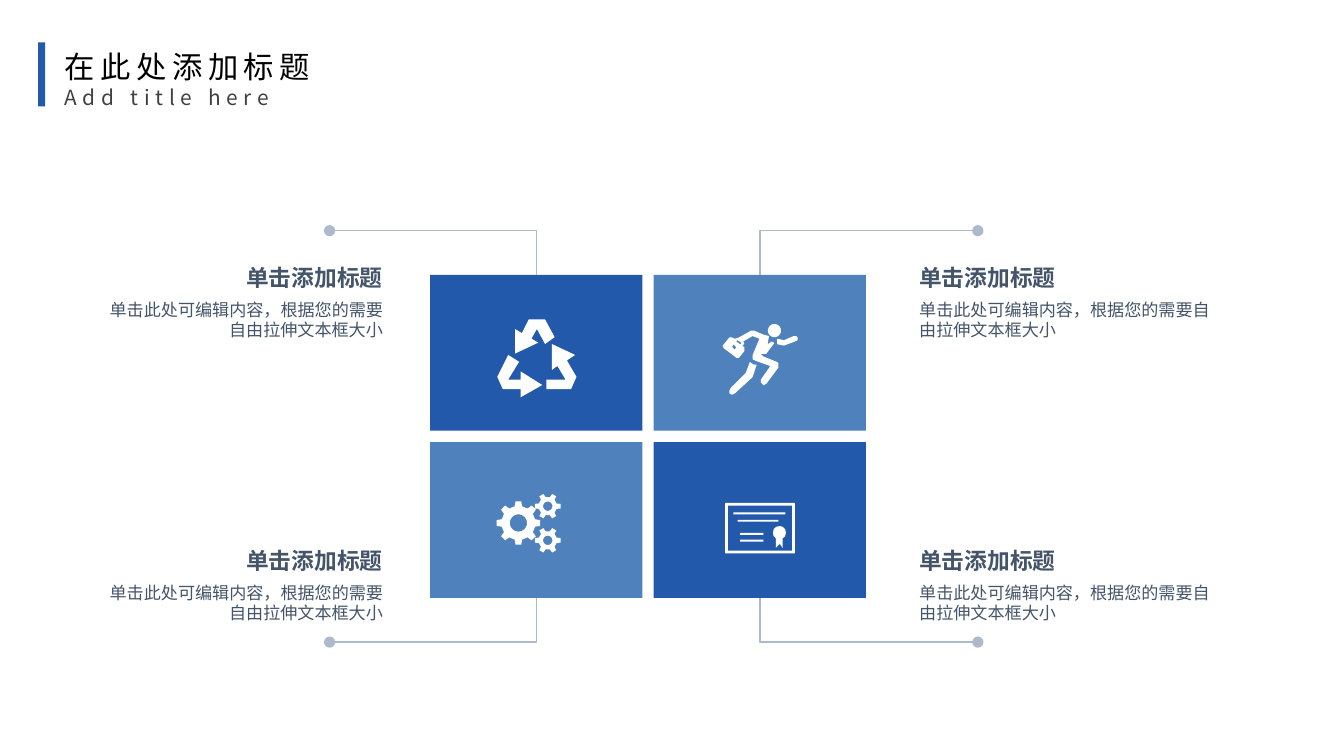
from math import cos, pi, sin

from lxml import etree
from pptx import Presentation, util as u
from pptx.dml.color import RGBColor
from pptx.enum import shapes, text
from pptx.oxml.ns import qn

COLORS = {"dark": "2259AA", "light": "4F81BD", "leader": "ADBACA", "body": "445469",
          "title": "000000", "subtitle": "404040", "icon": "FFFFFF"}
CJK = "Noto Sans CJK SC"
PAGE_TITLE = [("在此处添加标题", 16, "title"), ("Add title here", 11, "subtitle")]
HEADING = "单击添加标题"
DETAIL = "单击此处可编辑内容，根据您的需要自由拉伸文本框大小"
TILE_FILLS = [["dark", "light"], ["light", "dark"]]
TILE_LEFT, TILE_TOP, TILE_W, TILE_H = 8, 5.11, 3.95, 2.9
STEP_X, STEP_Y = 4.16, 3.11
LEADER_RISE = 0.82
HEADING_TOPS = [4.9, 10.16]
SIDES = [
    {"dot": 6.13, "left": 1.76, "width": 5.36, "align": text.PP_ALIGN.RIGHT},
    {"dot": 18.19, "left": 17.1, "width": 5.59, "align": text.PP_ALIGN.LEFT},
]


def circle(x, y, radius, count=32):
    return [(x + radius * cos(2 * pi * i / count), y + radius * sin(2 * pi * i / count))
            for i in range(count)]


def rectangle(left, top, right, bottom):
    return [(left, top), (right, top), (right, bottom), (left, bottom)]


def gear(x, y, teeth, outer, root, hole):
    rim = []
    for tooth in range(teeth):
        for offset, radius in ((-0.28, root), (-0.17, outer), (0.17, outer), (0.28, root)):
            angle = 2 * pi * (tooth + offset) / teeth
            rim.append((x + radius * cos(angle), y + radius * sin(angle)))
    return [rim, circle(x, y, hole)]


RECYCLING = [
    [(35, 0), (23, 0), (18, 10), (13, 7), (13, 25), (30, 17), (25, 14), (29, 7), (35, 18),
     (42, 13)],
    [(17, 44), (8, 44), (16, 31), (8, 26), (0, 42), (4, 51), (17, 51), (17, 57), (33, 48),
     (17, 38)],
    [(51, 30), (57, 26), (40, 18), (40, 37), (44, 34), (50, 44), (36, 44), (36, 51), (54, 51),
     (58, 42)],
]
RUNNER = [
    circle(38, 5, 4.8),
    [(55, 10), (54, 9), (52, 9), (45, 12), (40, 11), (40, 15), (45, 16), (53, 13), (55, 12)],
    [(40, 28), (30, 24), (28, 22), (30, 22), (32, 22), (38, 14), (36, 13), (33, 15), (34, 9),
     (30, 8), (23, 5), (21, 5), (12, 10), (9, 11), (7, 10), (5, 10), (1, 15), (0, 16),
     (1, 18), (9, 24), (10, 25), (12, 25), (16, 20), (16, 17), (14, 16), (15, 16), (16, 14),
     (15, 13), (22, 9), (27, 11), (22, 23), (22, 26), (24, 27), (35, 31), (28, 41),
     (28, 43), (29, 44), (30, 45), (32, 44), (41, 32), (41, 29)],
    [(14, 14), (13, 15), (10, 13), (11, 12)],
    [(9, 19), (7, 17), (8, 15), (10, 17)],
    [(20, 28), (17, 36), (6, 47), (5, 49), (5, 51), (7, 52), (9, 51), (21, 40), (22, 39),
     (25, 30), (23, 30)],
]
GEARS = [*gear(15.5, 21, 8, 16, 12.5, 6.3), *gear(37, 8.7, 6, 9.5, 6.8, 3.4),
         *gear(37, 33.7, 6, 9.5, 6.8, 3.4)]
CERTIFICATE = [
    rectangle(0, 0, 51, 37), rectangle(2, 2, 49, 35),
    rectangle(6, 7, 44, 8.4), rectangle(9, 12.4, 39, 13.8),
    rectangle(11, 22, 28, 23.4), rectangle(11, 27, 28, 28.4),
    [(37, 26), (35.3, 24), (35, 22), (35.6, 19), (37.5, 17.5), (40, 17), (42, 17.5),
     (44, 19.5), (44.4, 22), (43.8, 24.5), (42, 26), (42, 33), (40, 30), (37, 33)],
]
ICONS = [(RECYCLING, 9.25, 5.94), (RUNNER, 13.44, 6.02),
         (GEARS, 9.25, 9.19), (CERTIFICATE, 13.49, 9.35)]


def paint(shape, color):
    shape.shadow.inherit = False
    shape.fill.solid()
    shape.fill.fore_color.rgb = RGBColor.from_string(COLORS[color])
    shape.line.fill.background()


def add_block(page, left, top, width, height, color):
    block = page.shapes.add_shape(shapes.MSO_SHAPE.RECTANGLE, u.Cm(left), u.Cm(top),
                                  u.Cm(width), u.Cm(height))
    paint(block, color)


def add_icon(page, contours, left, top):
    contours = [[(x * 25.4, y * 25.4) for x, y in contour] for contour in contours]
    builder = page.shapes.build_freeform(*contours[0][0], scale=u.Cm(1) / 1000)
    for index, contour in enumerate(contours):
        if index:
            builder.move_to(*contour[0])
        builder.add_line_segments(contour[1:], close=True)
    paint(builder.convert_to_shape(u.Cm(left), u.Cm(top)), "icon")


def add_leader(page, dot_x, dot_y, tile_x, tile_y):
    leader = page.shapes.add_connector(shapes.MSO_CONNECTOR.ELBOW, u.Cm(dot_x), u.Cm(dot_y),
                                       u.Cm(tile_x), u.Cm(tile_y))
    leader.line.color.rgb = RGBColor.from_string(COLORS["leader"])
    leader.line.width = u.Pt(0.75)
    properties = leader._element.spPr
    properties.find(qn("a:prstGeom")).set("prst", "bentConnector2")
    etree.SubElement(properties.find(qn("a:ln")), qn("a:headEnd"), type="oval")
    etree.SubElement(properties, qn("a:effectLst"))


def add_text(page, left, top, width, height, lines, face="Arial", bold=False,
             align=text.PP_ALIGN.LEFT, insets=(0, 0), wrap=True, spacing=0):
    box = page.shapes.add_textbox(u.Cm(left), u.Cm(top), u.Cm(width), u.Cm(height))
    frame = box.text_frame
    frame.word_wrap = wrap
    frame.margin_left = frame.margin_right = u.Cm(insets[0])
    frame.margin_top = frame.margin_bottom = u.Cm(insets[1])
    for index, (words, size, color) in enumerate(lines):
        para = frame.add_paragraph() if index else frame.paragraphs[0]
        para.text = words
        para.alignment = align
        font = para.font
        font.name, font.size, font.bold = face, u.Pt(size), bold
        font.color.rgb = RGBColor.from_string(COLORS[color])
        defaults = para._p.pPr.find(qn("a:defRPr"))
        etree.SubElement(defaults, qn("a:ea"), typeface=CJK)
        if spacing:
            defaults.set("spc", str(spacing * 100))


def main():
    deck = Presentation()
    deck.slide_width, deck.slide_height = u.Cm(25), u.Cm(14)
    page = deck.slides.add_slide(deck.slide_layouts[6])

    for row, fills in enumerate(TILE_FILLS):
        for column, (fill, side) in enumerate(zip(fills, SIDES)):
            left, top = TILE_LEFT + column * STEP_X, TILE_TOP + row * STEP_Y
            add_block(page, left, top, TILE_W, TILE_H, fill)
            edge = top + row * TILE_H
            dot_y = edge + (LEADER_RISE if row else -LEADER_RISE)
            add_leader(page, side["dot"], dot_y, left + TILE_W / 2, edge)
            heading_top = HEADING_TOPS[row]
            add_text(page, side["left"], heading_top, side["width"], 0.51,
                     [(HEADING, 12, "body")], bold=True, align=side["align"])
            add_text(page, side["left"], heading_top + 0.66, side["width"], 0.76,
                     [(DETAIL, 9, "body")], align=side["align"])

    for icon in ICONS:
        add_icon(page, *icon)

    add_block(page, 0.71, 0.79, 0.13, 1.19, "dark")
    add_text(page, 1.02, 0.79, 5.1, 1.4, PAGE_TITLE, face=CJK, insets=(0.18, 0.1),
             wrap=False, spacing=3)
    deck.save("out.pptx")


if __name__ == "__main__":
    main()
